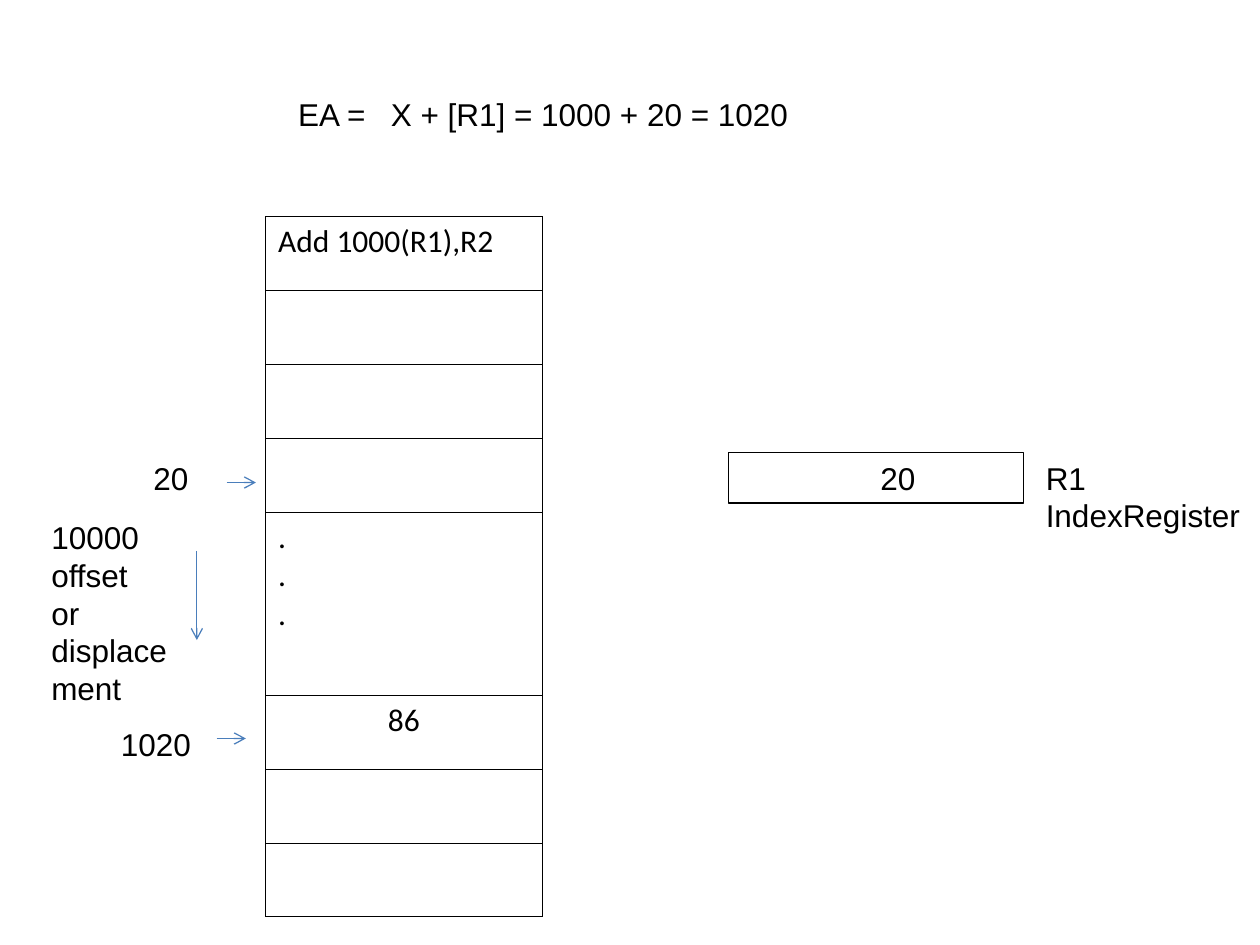
from dataclasses import dataclass

from lxml import etree
from pptx import Presentation
from pptx.dml.color import RGBColor
from pptx.enum.shapes import MSO_CONNECTOR, MSO_SHAPE
from pptx.enum.text import MSO_ANCHOR, PP_ALIGN
from pptx.oxml.ns import qn
from pptx.util import Pt

LEFT, CENTER = PP_ALIGN.LEFT, PP_ALIGN.CENTER
TOP, MIDDLE = MSO_ANCHOR.TOP, MSO_ANCHOR.MIDDLE
RECTANGLE = MSO_SHAPE.RECTANGLE
STRAIGHT = MSO_CONNECTOR.STRAIGHT


@dataclass(frozen=True)
class Theme:
    ink: RGBColor = RGBColor(0x00, 0x00, 0x00)
    arrow: RGBColor = RGBColor(0x4A, 0x7E, 0xBB)
    label_font: str = "Arial"
    memory_font: str = "Calibri"
    text_size: float = 18
    line_width: float = 0.75
    border_width: float = 0.45


class SlideBuilder:
    def __init__(self, slide, theme):
        self.slide = slide
        self.theme = theme

    def set_text(self, frame, lines, font_name, alignment=LEFT, tab=None):
        for index, line in enumerate(lines):
            paragraph = frame.paragraphs[0] if index == 0 else frame.add_paragraph()
            paragraph.text = line
            paragraph.alignment = alignment
            if tab is not None:
                properties = paragraph._p.get_or_add_pPr()
                tabs = etree.SubElement(properties, qn("a:tabLst"))
                etree.SubElement(tabs, qn("a:tab"), pos=str(Pt(tab)), algn="l")
            paragraph.font.name = font_name
            paragraph.font.size = Pt(self.theme.text_size)
            paragraph.font.color.rgb = self.theme.ink

    def label(self, left, top, width, height, lines, indent=0, tab=None):
        shape = self.slide.shapes.add_textbox(Pt(left), Pt(top), Pt(width), Pt(height))
        frame = shape.text_frame
        frame.word_wrap = True
        frame.margin_left = Pt(7.2 + indent)
        self.set_text(frame, lines, self.theme.label_font, tab=tab)

    def register(self, left, top, width, height, value, indent):
        shape = self.slide.shapes.add_shape(
            RECTANGLE, Pt(left), Pt(top), Pt(width), Pt(height))
        shape.shadow.inherit = False
        shape.fill.background()
        shape.line.color.rgb = self.theme.ink
        shape.line.width = Pt(self.theme.line_width)
        frame = shape.text_frame
        frame.word_wrap = True
        frame.vertical_anchor = MIDDLE
        frame.margin_left = Pt(7.2 + indent)
        self.set_text(frame, [value], self.theme.label_font, CENTER)

    def arrow(self, start_x, start_y, end_x, end_y):
        connector = self.slide.shapes.add_connector(
            STRAIGHT, Pt(start_x), Pt(start_y), Pt(end_x), Pt(end_y))
        connector.line.color.rgb = self.theme.arrow
        connector.line.width = Pt(self.theme.line_width)
        properties = connector._element.spPr
        etree.SubElement(properties.find(qn("a:ln")), qn("a:tailEnd"), type="arrow")
        etree.SubElement(properties, qn("a:effectLst"))

    def border(self, cell):
        properties = cell._tc.get_or_add_tcPr()
        for side in ("a:lnL", "a:lnR", "a:lnT", "a:lnB"):
            line = etree.SubElement(
                properties, qn(side), w=str(Pt(self.theme.border_width)))
            fill = etree.SubElement(line, qn("a:solidFill"))
            etree.SubElement(fill, qn("a:srgbClr"), val=str(self.theme.ink))

    def memory(self, left, top, width, rows):
        total = sum(height for height, _, _ in rows)
        table = self.slide.shapes.add_table(
            len(rows), 1, Pt(left), Pt(top), Pt(width), Pt(total)).table
        table.first_row = False
        table.horz_banding = False
        for index, (height, lines, alignment) in enumerate(rows):
            table.rows[index].height = Pt(height)
            cell = table.cell(index, 0)
            cell.vertical_anchor = TOP
            self.border(cell)
            cell.fill.background()
            self.set_text(cell.text_frame, lines, self.theme.memory_font, alignment)


def main():
    presentation = Presentation()
    presentation.slide_width = Pt(720)
    presentation.slide_height = Pt(540)
    slide = presentation.slides.add_slide(presentation.slide_layouts[6])
    builder = SlideBuilder(slide, Theme())

    # Memory column
    word, gap = 42.25, 104.5
    empty = (word, [""], LEFT)
    builder.memory(151.75, 123.75, 158, [
        (word, ["Add 1000(R1),R2"], LEFT),
        empty, empty, empty,
        (gap, [".", ".", "."], LEFT),
        (word, ["86"], CENTER),
        empty, empty,
    ])

    # Index register
    register_top = 258.5
    builder.register(416.25, register_top, 168.5, 29, "20", indent=25)
    builder.label(590.5, register_top, 129.5, 50.5, ["R1", "IndexRegister"])

    # Effective address
    builder.label(163.25, 50.5, 354, 29,
                  ["EA =\tX + [R1] = 1000 + 20 = 1020"], tab=53)

    # Addresses and offset
    builder.label(50.5, register_top, 90, 29, ["20"], indent=30)
    builder.label(22.25, 292.5, 84.25, 115, ["10000 offset", "or displacement"])
    builder.label(62, 410.5, 84.25, 29, ["1020"])
    builder.arrow(129.5, 275.75, 146.25, 275.75)
    builder.arrow(112.5, 314.75, 112.5, 365.75)
    builder.arrow(123.75, 422, 140.5, 422)

    presentation.save("out.pptx")


if __name__ == "__main__":
    main()
